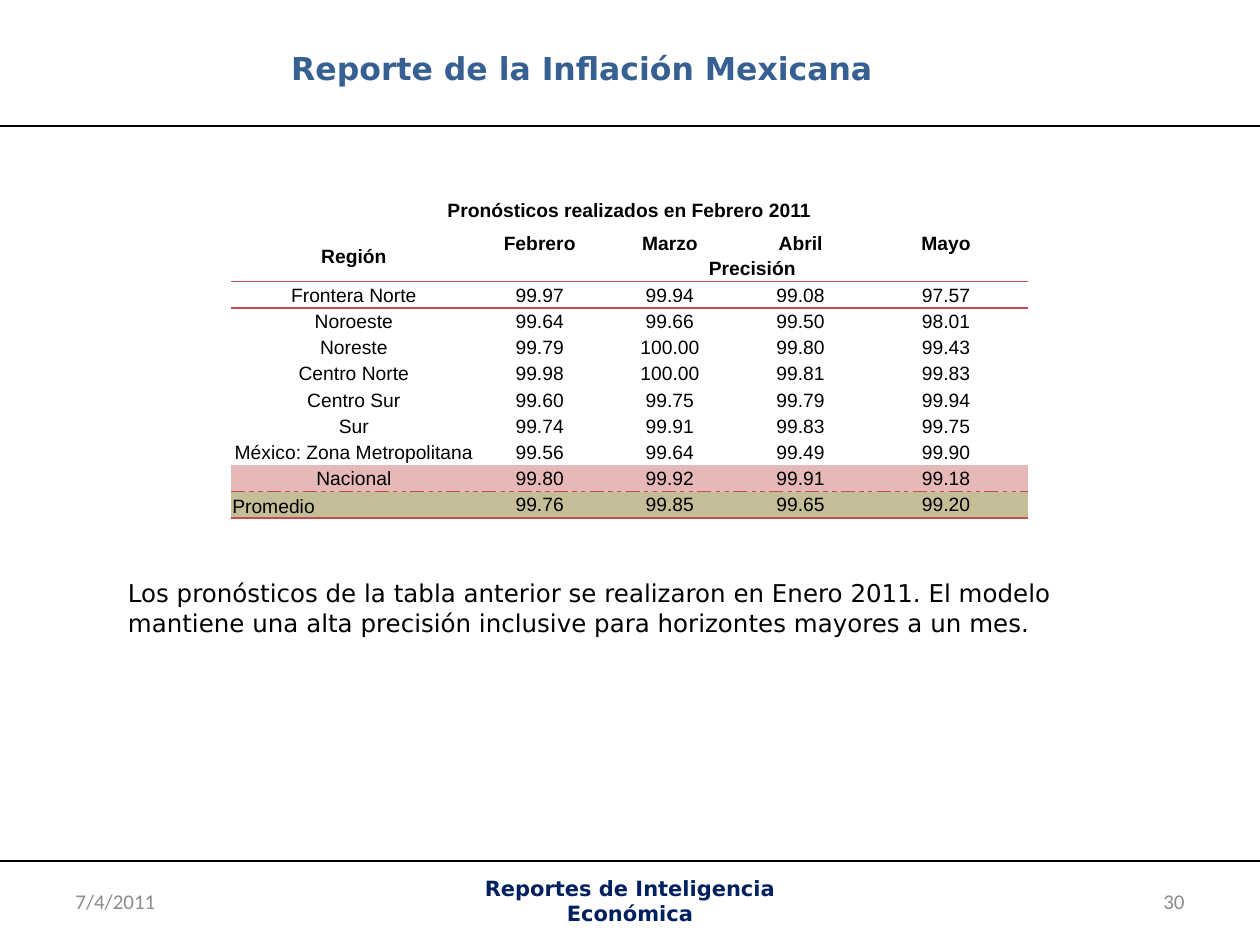
from dataclasses import dataclass

from lxml import etree
from pptx import Presentation
from pptx import util as u
from pptx.dml.color import RGBColor
from pptx.enum import shapes, text
from pptx.oxml import ns

UNIT = u.Inches(1) / 12
NO_STYLE = "{2D5ABB26-0587-4C30-8999-92F81FD0307C}"
LEFT, CENTER, RIGHT = text.PP_ALIGN.LEFT, text.PP_ALIGN.CENTER, text.PP_ALIGN.RIGHT
MIDDLE, BOTTOM, TOP = text.MSO_ANCHOR.MIDDLE, text.MSO_ANCHOR.BOTTOM, text.MSO_ANCHOR.TOP


@dataclass(frozen=True)
class Theme:
    ink: str = "000000"
    heading: str = "376092"
    brand: str = "002060"
    muted: str = "8C8C8C"
    rule: str = "C0504D"
    national: str = "E6B8B7"
    average: str = "C4BD97"
    display: str = "DejaVu Sans"
    table: str = "Arial"
    small: str = "Calibri"
    heading_size: int = 18
    body_size: int = 14
    footer_size: int = 12
    table_size: int = 11


THEME = Theme()


def grid(*units):
    return [u.Emu(round(value * UNIT)) for value in units]


def write(frame, content, font, size, color, bold=False, align=LEFT):
    paragraph = frame.paragraphs[0]
    paragraph.alignment = align
    run = paragraph.add_run()
    run.text = content
    run.font.name = font
    run.font.size = u.Pt(size)
    run.font.bold = bold
    run.font.color.rgb = RGBColor.from_string(color)


def set_border(cell, side, color, width, dash="solid"):
    properties = cell._tc.get_or_add_tcPr()
    line = etree.Element(ns.qn(f"a:ln{side}"), w=str(u.Pt(width)))
    fill = etree.SubElement(line, ns.qn("a:solidFill"))
    etree.SubElement(fill, ns.qn("a:srgbClr"), val=color)
    etree.SubElement(line, ns.qn("a:prstDash"), val=dash)
    properties.insert(0, line)


class Report:
    def __init__(self, presentation, theme):
        self.theme = theme
        self.slide = presentation.slides.add_slide(presentation.slide_layouts[5])

    def title(self, content, box, right_inset):
        shape = self.slide.shapes.title
        shape.left, shape.top, shape.width, shape.height = grid(*box)
        frame = shape.text_frame
        frame.vertical_anchor = MIDDLE
        frame.margin_right = u.Inches(right_inset)
        write(frame, content, self.theme.display, self.theme.heading_size,
              self.theme.heading, bold=True, align=CENTER)

    def text(self, content, box, anchor=MIDDLE, **style):
        frame = self.slide.shapes.add_textbox(*grid(*box)).text_frame
        frame.word_wrap = True
        frame.vertical_anchor = anchor
        write(frame, content, **style)

    def rule(self, row):
        line = self.slide.shapes.add_connector(
            shapes.MSO_CONNECTOR.STRAIGHT, *grid(0, row, 120, row))
        line.line.color.rgb = RGBColor.from_string(self.theme.ink)
        line.line.width = u.Pt(0.75)
        etree.SubElement(line._element.spPr, ns.qn("a:effectLst"))

    def table(self, rows, origin, columns, heights, merges, header_rows, fills):
        box = grid(*origin, sum(columns), sum(heights))
        table = self.slide.shapes.add_table(len(rows), len(columns), *box).table
        table.first_row = table.horz_banding = False
        table._tbl.tblPr.find(ns.qn("a:tableStyleId")).text = NO_STYLE
        for column, width in zip(table.columns, grid(*columns)):
            column.width = width
        for row, height in zip(table.rows, grid(*heights)):
            row.height = height
        for start, end in merges:
            table.cell(*start).merge(table.cell(*end))
        for index, values in enumerate(rows):
            for column, value in enumerate(values):
                self.cell(table.cell(index, column), value,
                          bold=index < header_rows, fill=fills.get(index))
        return table

    def cell(self, cell, value, bold, fill):
        cell.margin_left = cell.margin_right = cell.margin_top = u.Inches(0.01)
        cell.margin_bottom = 0
        cell.vertical_anchor = MIDDLE
        if fill:
            cell.fill.solid()
            cell.fill.fore_color.rgb = RGBColor.from_string(fill)
        else:
            cell.fill.background()
        if value:
            write(cell.text_frame, value, self.theme.table, self.theme.table_size,
                  self.theme.ink, bold=bold, align=CENTER)

    def row_rule(self, table, row, width, dash="solid"):
        for column in range(len(table.columns)):
            set_border(table.cell(row, column), "B", self.theme.rule, width, dash)
            if row + 1 < len(table.rows):
                set_border(table.cell(row + 1, column), "T", self.theme.rule, width, dash)


FORECASTS = [
    ["Pronósticos realizados en Febrero 2011", "", "", "", ""],
    ["Región", "Febrero", "Marzo", "Abril", "Mayo"],
    ["", "Precisión", "", "", ""],
    ["Frontera Norte", "99.97", "99.94", "99.08", "97.57"],
    ["Noroeste", "99.64", "99.66", "99.50", "98.01"],
    ["Noreste", "99.79", "100.00", "99.80", "99.43"],
    ["Centro Norte", "99.98", "100.00", "99.81", "99.83"],
    ["Centro Sur", "99.60", "99.75", "99.79", "99.94"],
    ["Sur", "99.74", "99.91", "99.83", "99.75"],
    ["México: Zona Metropolitana", "99.56", "99.64", "99.49", "99.90"],
    ["Nacional", "99.80", "99.92", "99.91", "99.18"],
    ["Promedio", "99.76", "99.85", "99.65", "99.20"],
]


def main():
    presentation = Presentation()
    presentation.slide_width, presentation.slide_height = grid(120, 90)
    report = Report(presentation, THEME)
    for row in (12, 82):
        report.rule(row)

    muted = dict(font=THEME.small, size=THEME.footer_size, color=THEME.muted)
    report.text("7/4/2011", (6, 83.4, 28, 4.8), **muted)
    report.text("30", (86, 83.4, 28, 4.8), align=RIGHT, **muted)
    report.text("Reportes de Inteligencia Económica", (41, 83.4, 38, 4.8),
                font=THEME.display, size=THEME.footer_size, color=THEME.brand,
                bold=True, align=CENTER)
    report.title("Reporte de la Inflación Mexicana", (24, 3, 65, 7), right_inset=0.28)

    last = len(FORECASTS) - 1
    table = report.table(
        FORECASTS, origin=(22, 18), columns=[23.4, 12, 12.8, 12.1, 15.6],
        heights=[4, 2.3] + [2.5] * (last - 1),
        merges=[((0, 0), (0, 4)), ((1, 0), (2, 0)), ((2, 1), (2, 4))],
        header_rows=3, fills={last - 1: THEME.national, last: THEME.average})
    set_border(table.cell(1, 0), "B", THEME.rule, 1)
    report.row_rule(table, 2, 1)
    report.row_rule(table, last, 1)
    report.row_rule(table, last - 1, 0.5, "lgDashDotDot")
    average = table.cell(last, 0)
    average.vertical_anchor = BOTTOM
    average.text_frame.paragraphs[0].alignment = LEFT

    report.text("Los pronósticos de la tabla anterior se realizaron en Enero 2011. "
                "El modelo mantiene una alta precisión inclusive para horizontes "
                "mayores a un mes.", (11, 54.5, 99, 6.8), anchor=TOP,
                font=THEME.display, size=THEME.body_size, color=THEME.ink)
    presentation.save("out.pptx")


if __name__ == "__main__":
    main()
